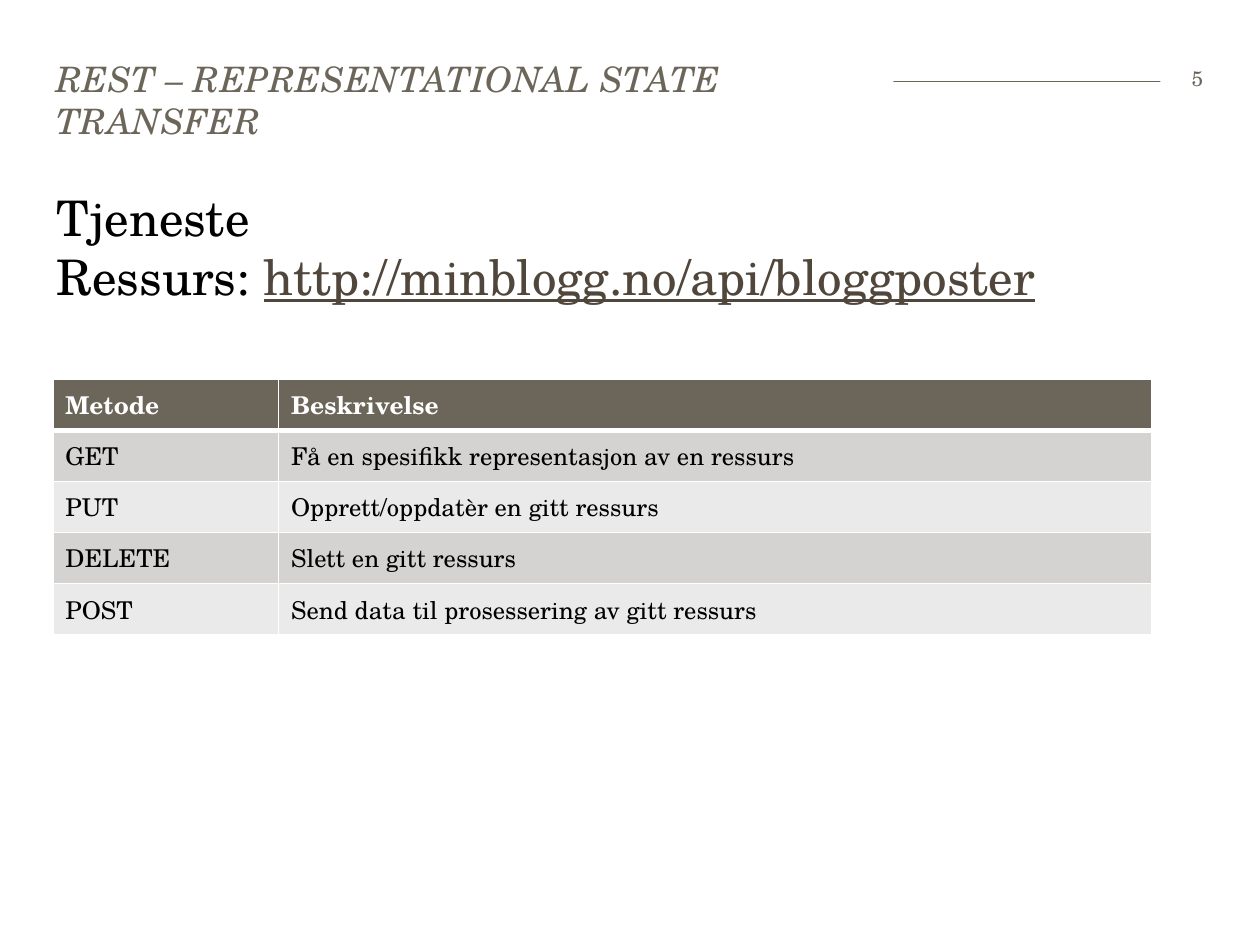
from lxml.etree import SubElement
from pptx import Presentation
from pptx.dml.color import RGBColor
from pptx.enum.shapes import MSO_CONNECTOR
from pptx.enum.text import MSO_ANCHOR, PP_ALIGN
from pptx.oxml.ns import qn
from pptx.util import Pt

TITLE = "REST – REPRESENTATIONAL STATE TRANSFER"
PAGE_NUMBER = "5"
SERVICE = [
    [("Tjeneste", "text", False)],
    [("Ressurs: ", "text", False), ("http://minblogg.no/api/bloggposter", "link", True)],
]
METHODS = [
    ("Metode", "Beskrivelse"),
    ("GET", "Få en spesifikk representasjon av en ressurs"),
    ("PUT", "Opprett/oppdatèr en gitt ressurs"),
    ("DELETE", "Slett en gitt ressurs"),
    ("POST", "Send data til prosessering av gitt ressurs"),
]
COLUMN_WIDTHS = [129, 499]
ROW_HEIGHT = 29.2
FONT = "TeX Gyre Schola"
COLORS = {
    "accent": "6C6559", "link": "50463C", "text": "000000", "white": "FFFFFF",
    "odd": "D4D3D1", "even": "EBEAEA",
}


def color(name):
    return RGBColor.from_string(COLORS[name])


def set_font(font, size, name, bold=False, italic=False):
    font.name, font.size = FONT, Pt(size)
    font.bold, font.italic = bold, italic
    font.color.rgb = color(name)


def add_box(page, left, top, width, height, insets, filled=True):
    box = page.shapes.add_textbox(Pt(left), Pt(top), Pt(width), Pt(height))
    if filled:
        box.fill.solid()
        box.fill.fore_color.rgb = color("white")
    frame = box.text_frame
    frame.word_wrap = True
    (frame.margin_left, frame.margin_top,
     frame.margin_right, frame.margin_bottom) = map(Pt, insets)
    return frame


def add_header(page):
    rule = page.shapes.add_connector(
        MSO_CONNECTOR.STRAIGHT, Pt(33), Pt(46.6), Pt(687.6), Pt(46.6))
    rule.line.color.rgb = color("accent")
    rule.line.width = Pt(0.5)
    SubElement(rule._element.spPr, qn("a:effectLst"))

    title = add_box(page, 25.2, 33.1, 485.3, 48, (7.2, 0, 7.2, 0)).paragraphs[0]
    span = title.add_run()
    span.text = TITLE
    set_font(title.font, 20, "accent", italic=True)
    span.font._element.set("spc", "20")

    frame = add_box(page, 663.1, 33.8, 24.5, 21.6, (2.9, 3.6, 0, 3.6))
    frame.vertical_anchor = MSO_ANCHOR.MIDDLE
    number = frame.paragraphs[0]
    number.text = PAGE_NUMBER
    number.alignment = PP_ALIGN.RIGHT
    set_font(number.font, 12, "accent")


def add_service(page):
    frame = add_box(page, 25.2, 103.7, 638, 143.3, (7.2, 3.6, 7.2, 3.6), filled=False)
    for index, spans in enumerate(SERVICE):
        para = frame.add_paragraph() if index else frame.paragraphs[0]
        for text, name, underlined in spans:
            span = para.add_run()
            span.text = text
            set_font(span.font, 28, name)
            span.font.underline = underlined


def set_borders(cell, widths):
    properties = cell._tc.get_or_add_tcPr()
    for position, (side, width) in enumerate(widths.items()):
        line = properties.makeelement(qn(f"a:ln{side}"), {"w": str(Pt(width))})
        fill = SubElement(line, qn("a:solidFill"))
        SubElement(fill, qn("a:srgbClr"), val=COLORS["white"])
        properties.insert(position, line)


def add_methods(page):
    table = page.shapes.add_table(
        len(METHODS), len(COLUMN_WIDTHS), Pt(30.2), Pt(216.7),
        Pt(sum(COLUMN_WIDTHS)), Pt(ROW_HEIGHT * len(METHODS))).table
    for column, width in zip(table.columns, COLUMN_WIDTHS):
        column.width = Pt(width)
    for row_index, texts in enumerate(METHODS):
        table.rows[row_index].height = Pt(ROW_HEIGHT)
        header = row_index == 0
        fill = "accent" if header else "odd" if row_index % 2 else "even"
        for column_index, text in enumerate(texts):
            cell = table.cell(row_index, column_index)
            cell.text = text
            cell.vertical_anchor = MSO_ANCHOR.MIDDLE
            cell.fill.solid()
            cell.fill.fore_color.rgb = color(fill)
            set_font(cell.text_frame.paragraphs[0].font, 14,
                     "white" if header else "text", bold=header)
            set_borders(cell, {"L": 1, "R": 1, "T": 3 if row_index == 1 else 1,
                               "B": 3 if header else 1})


def main():
    deck = Presentation()
    deck.slide_width, deck.slide_height = Pt(720), Pt(540)
    page = deck.slides.add_slide(deck.slide_layouts[6])
    add_header(page)
    add_service(page)
    add_methods(page)
    deck.save("out.pptx")


if __name__ == "__main__":
    main()
